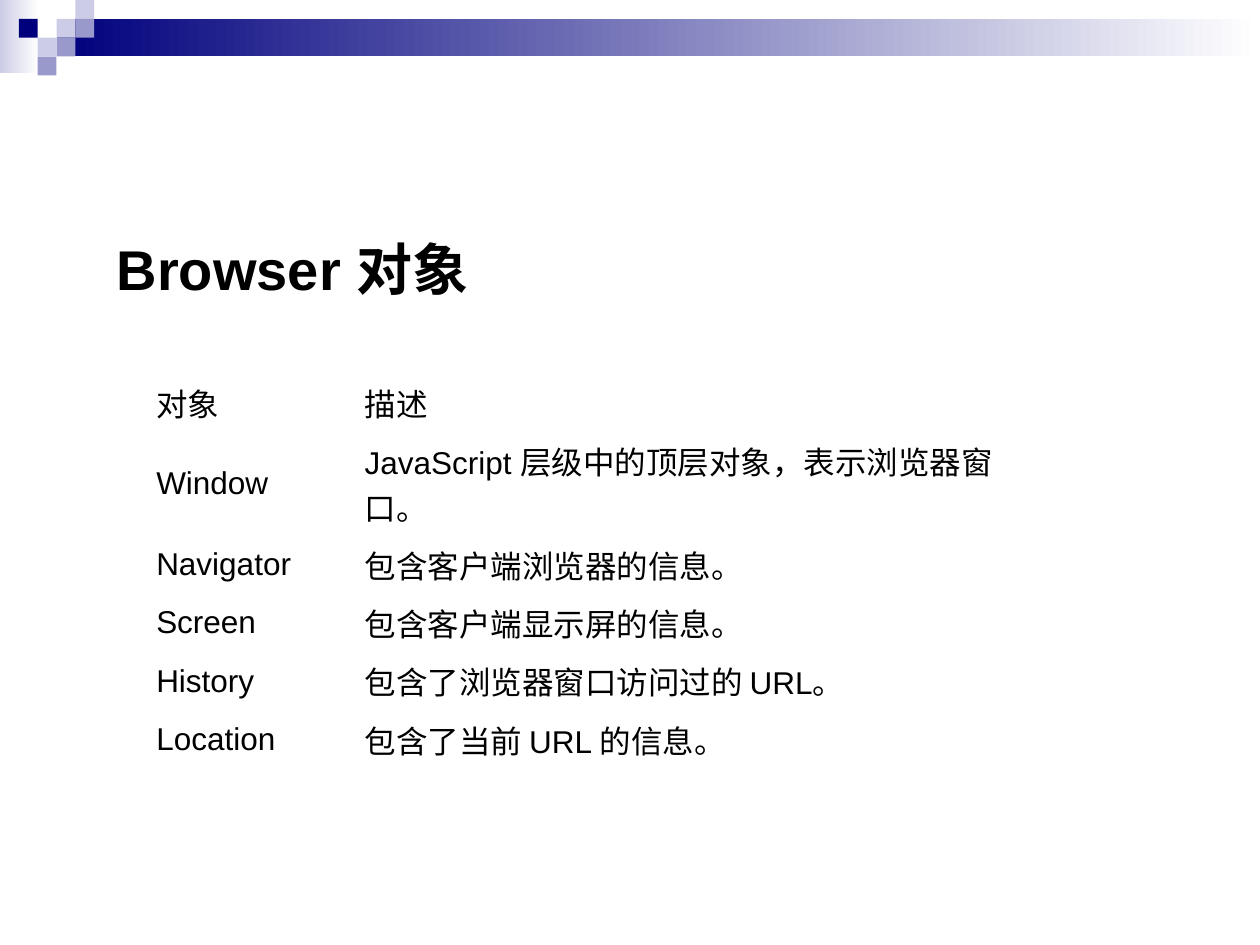
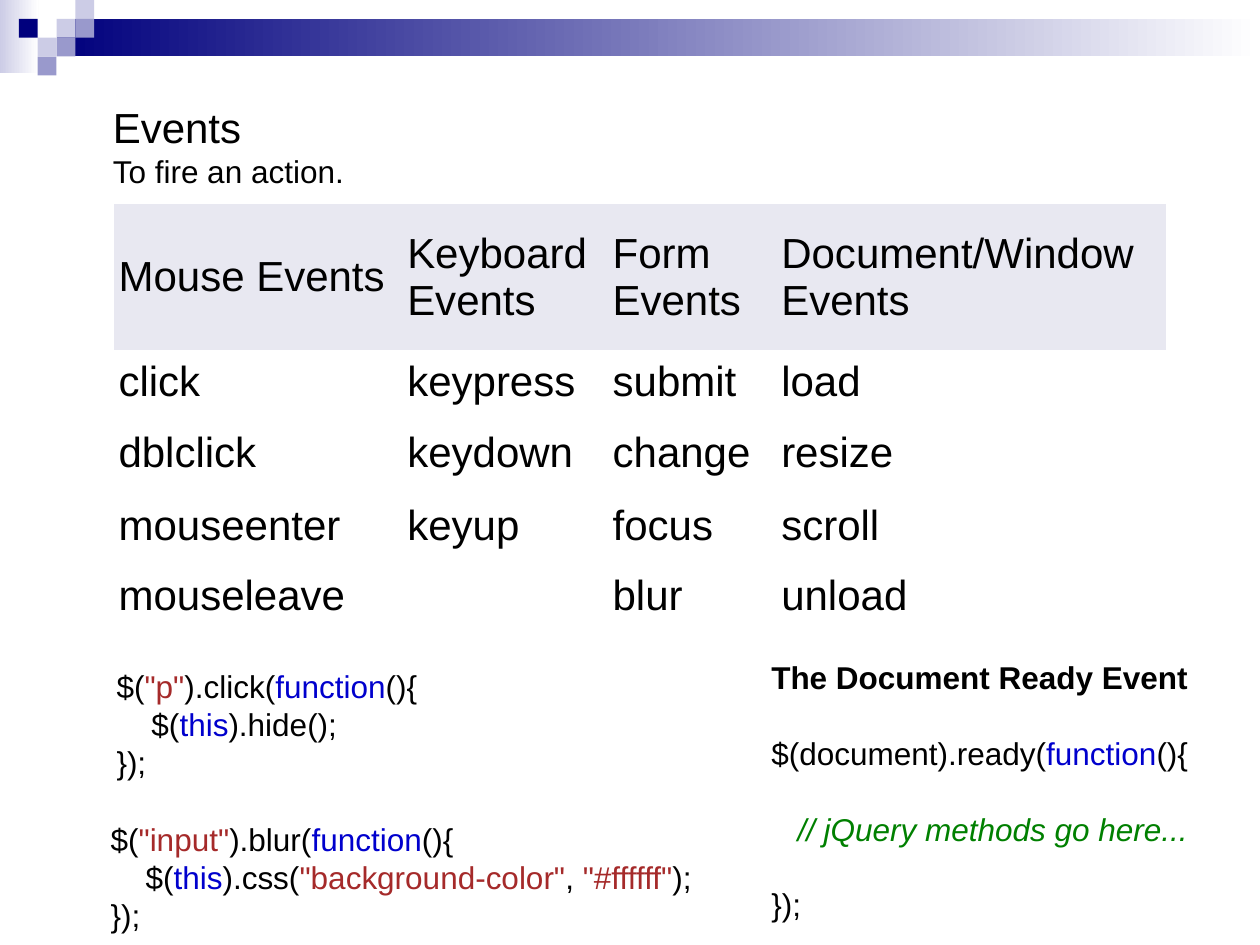
import pptx
import pptx.util
import pptx.dml.color
import pptx.enum.shapes
import pptx.enum.text
import pptx.oxml.ns

Cm, Pt = pptx.util.Cm, pptx.util.Pt
ANCHOR = pptx.enum.text.MSO_ANCHOR

COLORS = {
    "navy": "00007D", "violet": "9999CC", "lilac": "CCCCE6", "white": "FFFFFF",
    "header": "E8E8F1", "text": "000000",
    "string": "A52A2A", "keyword": "0000CD", "comment": "008000",
}
FONT = "Arial"
NO_STYLE_NO_GRID = "{2D5ABB26-0587-4C30-8999-92F81FD0307C}"
TITLE_ONLY = 5
TILE = 0.38
CODE_LINE = Pt(21.6)

# Mosaic tiles: column, row, colour
TILES = [
    (3, 1, "lilac"), (4, 0, "lilac"), (4, 1, "violet"), (2, 2, "lilac"),
    (1, 1, "navy"), (3, 2, "violet"), (2, 3, "violet"),
]

BROWSER_OBJECTS = [
    ("对象", "描述"),
    ("Window", "JavaScript 层级中的顶层对象，表示浏览器窗口。"),
    ("Navigator", "包含客户端浏览器的信息。"),
    ("Screen", "包含客户端显示屏的信息。"),
    ("History", "包含了浏览器窗口访问过的 URL。"),
    ("Location", "包含了当前 URL 的信息。"),
]

EVENTS = [
    ("Mouse Events", "Keyboard Events", "Form Events", "Document/Window Events"),
    ("click", "keypress", "submit", "load"),
    ("dblclick", "keydown", "change", "resize"),
    ("mouseenter", "keyup", "focus", "scroll"),
    ("mouseleave", "", "blur", "unload"),
]

# Code: one list of (text, colour) per line
CLICK_CODE = [
    [("$(", "text"), ('"p"', "string"), (").click(", "text"),
     ("function", "keyword"), ("(){", "text")],
    [("    $(", "text"), ("this", "keyword"), (").hide();", "text")],
    [("});", "text")],
]
BLUR_CODE = [
    [("$(", "text"), ('"input"', "string"), (").blur(", "text"),
     ("function", "keyword"), ("(){", "text")],
    [("    $(", "text"), ("this", "keyword"), (").css(", "text"),
     ('"background-color"', "string"), (", ", "text"),
     ('"#ffffff"', "string"), (");", "text")],
    [("});", "text")],
]
READY_CODE = [
    [("The Document Ready Event", "text")],
    [("$(document).ready(", "text"), ("function", "keyword"), ("(){", "text")],
    [("   // jQuery methods go here...", "comment")],
    [("});", "text")],
]


def rgb(name):
    return pptx.dml.color.RGBColor.from_string(COLORS[name])


def set_font(font, size, bold=False):
    font.name, font.size, font.bold = FONT, Pt(size), bold
    font.color.rgb = rgb("text")


def add_rect(s, box, *colors):
    """Borderless rectangle: one colour is solid, two make a gradient."""
    sp = s.shapes.add_shape(pptx.enum.shapes.MSO_SHAPE.RECTANGLE, *map(Cm, box))
    sp.shadow.inherit = False
    sp.line.fill.background()
    if len(colors) == 1:
        sp.fill.solid()
        sp.fill.fore_color.rgb = rgb(colors[0])
    else:
        sp.fill.gradient()
        sp.fill.gradient_angle = 0
        for stop, color, position in zip(sp.fill.gradient_stops, colors, (0, 1)):
            stop.color.rgb = rgb(color)
            stop.position = position
    return sp


def add_master_band(prs, s):
    """Draw the top band and move it to the master, which all slides share."""
    parts = [
        add_rect(s, (0, 0, 0.78, 1.48), "lilac", "white"),
        add_rect(s, (3 * TILE, TILE, 25.4 - 3 * TILE, 2 * TILE), "navy", "white"),
    ]
    parts += [add_rect(s, (col * TILE, row * TILE, TILE, TILE), color)
              for col, row, color in TILES]
    tree = prs.slide_master.shapes.element
    for i, sp in enumerate(parts):
        sp.element.nvSpPr.cNvPr.set("id", str(100 + i))
        tree.insert(2 + i, sp.element)


def set_title(s, box, lines, anchor):
    """Place the title; lines are (text, size, bold)."""
    sp = s.shapes.title
    sp.left, sp.top, sp.width, sp.height = map(Cm, box)
    tf = sp.text_frame
    tf.auto_size = pptx.enum.text.MSO_AUTO_SIZE.NONE
    tf.vertical_anchor = anchor
    tf.text = "\n".join(text for text, _, _ in lines)
    for p, (_, size, bold) in zip(tf.paragraphs, lines):
        p.alignment = pptx.enum.text.PP_ALIGN.LEFT
        set_font(p.font, size, bold)


def add_plain_table(s, left, top, widths, heights, rows, size, margin, header=None):
    """Table without grid; header names the fill of the first row."""
    gf = s.shapes.add_table(len(rows), len(widths), Cm(left), Cm(top),
                            Cm(sum(widths)), Cm(sum(heights)))
    style = next(gf.element.iter(pptx.oxml.ns.qn("a:tableStyleId")))
    style.text = NO_STYLE_NO_GRID
    table = gf.table
    table.first_row = table.horz_banding = False
    for column, width in zip(table.columns, widths):
        column.width = Cm(width)
    for i, (row, height, texts) in enumerate(zip(table.rows, heights, rows)):
        row.height = Cm(height)
        for cell, text in zip(row.cells, texts):
            cell.text = text
            cell.vertical_anchor = ANCHOR.MIDDLE
            cell.margin_left = cell.margin_right = Cm(margin)
            set_font(cell.text_frame.paragraphs[0].font, size)
            if header and i == 0:
                cell.fill.solid()
                cell.fill.fore_color.rgb = rgb(header)
            else:
                cell.fill.background()
    # Keep closing punctuation inside the cell
    for props in gf.element.iter(pptx.oxml.ns.qn("a:pPr")):
        props.set("hangingPunct", "0")


def add_code(s, box, lines, gap=0):
    """Code box with coloured runs; gap is the space between lines."""
    tf = s.shapes.add_textbox(*map(Cm, box)).text_frame
    tf.word_wrap = True
    for i, runs in enumerate(lines):
        p = tf.add_paragraph() if i else tf.paragraphs[0]
        p.line_spacing = CODE_LINE
        p.space_before = gap if i else 0
        set_font(p.font, 18)
        for text, color in runs:
            r = p.add_run()
            r.text = text
            r.font.color.rgb = rgb(color)
            if color == "comment":
                r.font.italic = True
    return tf


def build_browser_slide(s):
    set_title(s, (2.1, 4.93, 22.86, 0.94), [("Browser 对象", 32, True)], ANCHOR.MIDDLE)
    add_plain_table(s, 2.9, 7.53, (4.2, 14.4), [1.02] * len(BROWSER_OBJECTS),
                    BROWSER_OBJECTS, 18, 0.25)


def build_events_slide(s):
    set_title(s, (2.02, 1.92, 20.4, 2.03),
              [("Events", 24, False), ("To fire an action.", 18, False)], ANCHOR.TOP)
    add_plain_table(s, 2.29, 4.12, (5.82, 4.14, 3.4, 7.85),
                    (2.94, 1.28, 1.57, 1.37, 1.47), EVENTS, 24, 0.1, "header")
    # Code samples
    add_code(s, (2.1, 13.32, 7.67, 2.54), CLICK_CODE)
    add_code(s, (1.98, 16.41, 12.7, 2.54), BLUR_CODE)
    ready = add_code(s, (15.3, 13.15, 9.19, 5.59), READY_CODE, CODE_LINE)
    ready.paragraphs[0].font.bold = True


def main():
    prs = pptx.Presentation()
    prs.slide_width, prs.slide_height = Cm(25.4), Cm(19.05)
    for build in (build_browser_slide, build_events_slide):
        build(prs.slides.add_slide(prs.slide_layouts[TITLE_ONLY]))
    add_master_band(prs, prs.slides[0])
    prs.save("out.pptx")


if __name__ == "__main__":
    main()
